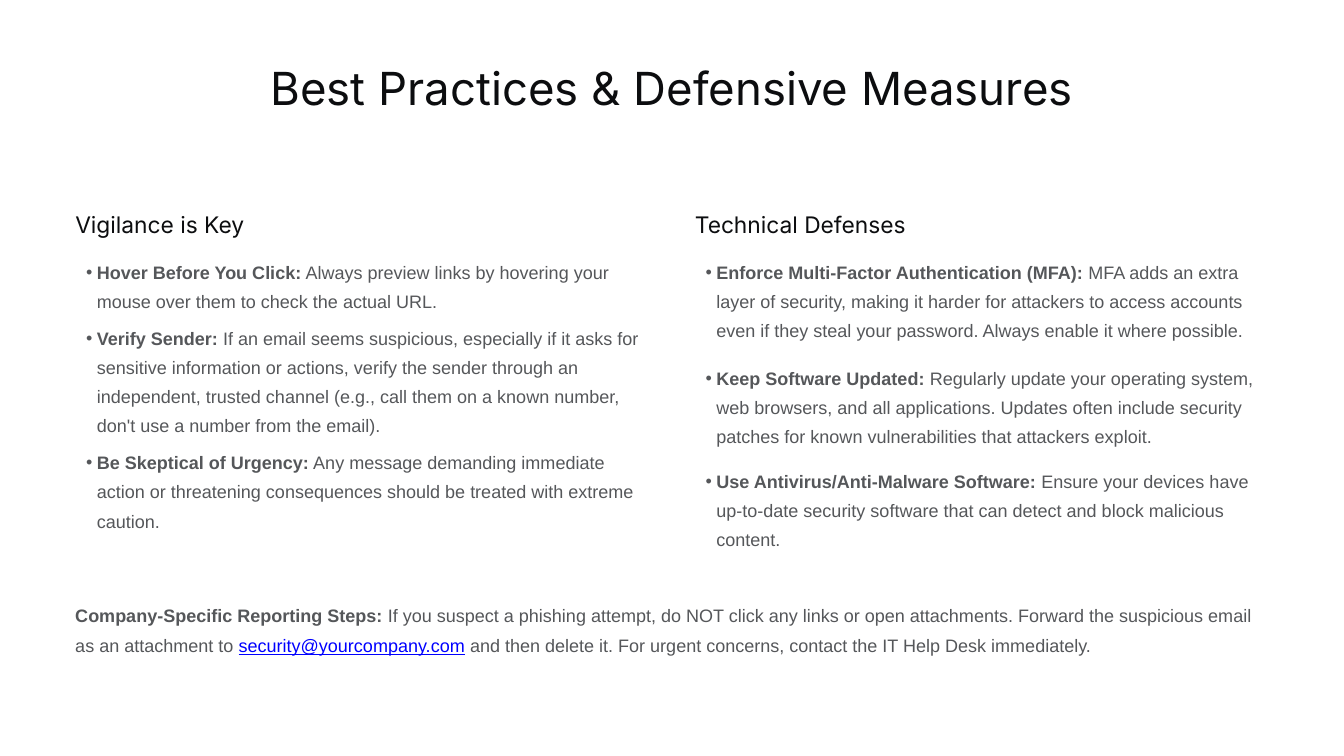
import dataclasses
import typing

import lxml.etree
import pptx
import pptx.dml.color
import pptx.enum.shapes
import pptx.enum.text
import pptx.oxml.ns
import pptx.util

Inches = pptx.util.Inches
Pt = pptx.util.Pt
ALIGN = pptx.enum.text.PP_ALIGN

COLORS = {"back": "FFFFFF", "head": "0C0D0F", "body": "55575A", "mail": "0000FF"}
LINE = 31.25  # body line height in points

# Format values for each kind of text
TITLE = {"name": "Inter", "size": Pt(48.8)}
HEAD = {"name": "Inter", "size": Pt(24.4)}
BODY = {"name": "Arial", "size": Pt(19.3), "bold": False}
BOLD = BODY | {"bold": True}
MAIL = BODY | {"underline": True}


@dataclasses.dataclass
class Run:
    text: str
    form: dict[str, typing.Any]
    color: str = "body"


@dataclasses.dataclass
class Tip:
    top: float
    high: float
    lead: str
    text: str


@dataclasses.dataclass
class Column:
    left: float
    head: str
    tips: list[Tip]


COLUMNS = [
    Column(1.12, "Vigilance is Key", [
        Tip(3.78, 0.97, "Hover Before You Click:",
            " Always preview links by hovering your mouse over them to check "
            "the actual URL."),
        Tip(4.76, 1.84, "Verify Sender:",
            " If an email seems suspicious, especially if it asks for sensitive "
            "information or actions, verify the sender through an independent, "
            "trusted channel (e.g., call them on a known number, don't use a "
            "number from the email)."),
        Tip(6.61, 1.41, "Be Skeptical of Urgency:",
            " Any message demanding immediate action or threatening "
            "consequences should be treated with extreme caution."),
    ]),
    Column(10.34, "Technical Defenses", [
        Tip(3.78, 1.84, "Enforce Multi-Factor Authentication (MFA):",
            " MFA adds an extra layer of security, making it harder for "
            "attackers to access accounts even if they steal your password. "
            "Always enable it where possible."),
        Tip(5.35, 1.84, "Keep Software Updated:",
            " Regularly update your operating system, web browsers, and all "
            "applications. Updates often include security patches for known "
            "vulnerabilities that attackers exploit."),
        Tip(6.89, 1.41, "Use Antivirus/Anti-Malware Software:",
            " Ensure your devices have up-to-date security software that can "
            "detect and block malicious content."),
    ]),
]

STEPS = [
    Run("Company-Specific Reporting Steps:", BOLD),
    Run(" If you suspect a phishing attempt, do NOT click any links or open "
        "attachments. Forward the suspicious email as an attachment to ", BODY),
    Run("security@yourcompany.com", MAIL, "mail"),
    Run(" and then delete it. For urgent concerns, contact the IT Help Desk "
        "immediately.", BODY),
]


def get_color(name: str) -> pptx.dml.color.RGBColor:
    return pptx.dml.color.RGBColor.from_string(COLORS[name])


def add_text(slide, left: float, top: float, wide: float, high: float,
             runs: list[Run], line: float = LINE, align=ALIGN.LEFT):
    """Add a one-paragraph text box and return its paragraph."""
    box = slide.shapes.add_textbox(*map(Inches, (left, top, wide, high)))
    frame = box.text_frame
    form = {"word_wrap": True,
            "auto_size": pptx.enum.text.MSO_AUTO_SIZE.SHAPE_TO_FIT_TEXT}
    form |= {f"margin_{side}": 0 for side in ("left", "top", "right", "bottom")}
    for key, value in form.items():
        setattr(frame, key, value)
    para = frame.paragraphs[0]
    para.alignment = align
    para.line_spacing = Pt(line)
    for part in runs:
        run = para.add_run()
        run.text = part.text
        for key, value in part.form.items():
            setattr(run.font, key, value)
        run.font.color.rgb = get_color(part.color)
    return para


def add_bullet(para) -> None:
    """Give the paragraph a round bullet with a hanging indent."""
    para.level = 1
    props = para._p.get_or_add_pPr()
    props.set("marL", str(Inches(0.32)))
    props.set("indent", str(Inches(-0.16)))
    for tag, key, value in (("a:buFont", "typeface", "Arial"),
                            ("a:buChar", "char", "•")):
        mark = lxml.etree.SubElement(props, pptx.oxml.ns.qn(tag))
        mark.set(key, value)


def add_column(slide, col: Column) -> None:
    add_text(slide, col.left, 3.13, 3.39, 0.43,
             [Run(col.head, HEAD, "head")], 30)
    for tip in col.tips:
        runs = [Run(tip.lead, BOLD), Run(tip.text, BODY)]
        add_bullet(add_text(slide, col.left, tip.top, 8.58, tip.high, runs))


def main() -> None:
    deck = pptx.Presentation()
    deck.slide_width, deck.slide_height = Inches(20), Inches(11.25)
    slide = deck.slides.add_slide(deck.slide_layouts[6])

    # Backdrop
    back = slide.shapes.add_shape(pptx.enum.shapes.MSO_SHAPE.RECTANGLE, 0, 0,
                                  deck.slide_width, deck.slide_height)
    back.shadow.inherit = False
    back.fill.solid()
    back.fill.fore_color.rgb = get_color("back")
    back.line.fill.background()

    # Title
    add_text(slide, 3.9, 0.86, 12.2, 1.67,
             [Run("Best Practices & Defensive Measures", TITLE, "head")],
             60.6, ALIGN.CENTER)

    # Two columns of tips
    for col in COLUMNS:
        add_column(slide, col)

    # Reporting steps
    add_text(slide, 1.12, 8.89, 17.83, 0.97, STEPS)

    deck.save("out.pptx")


if __name__ == "__main__":
    main()
